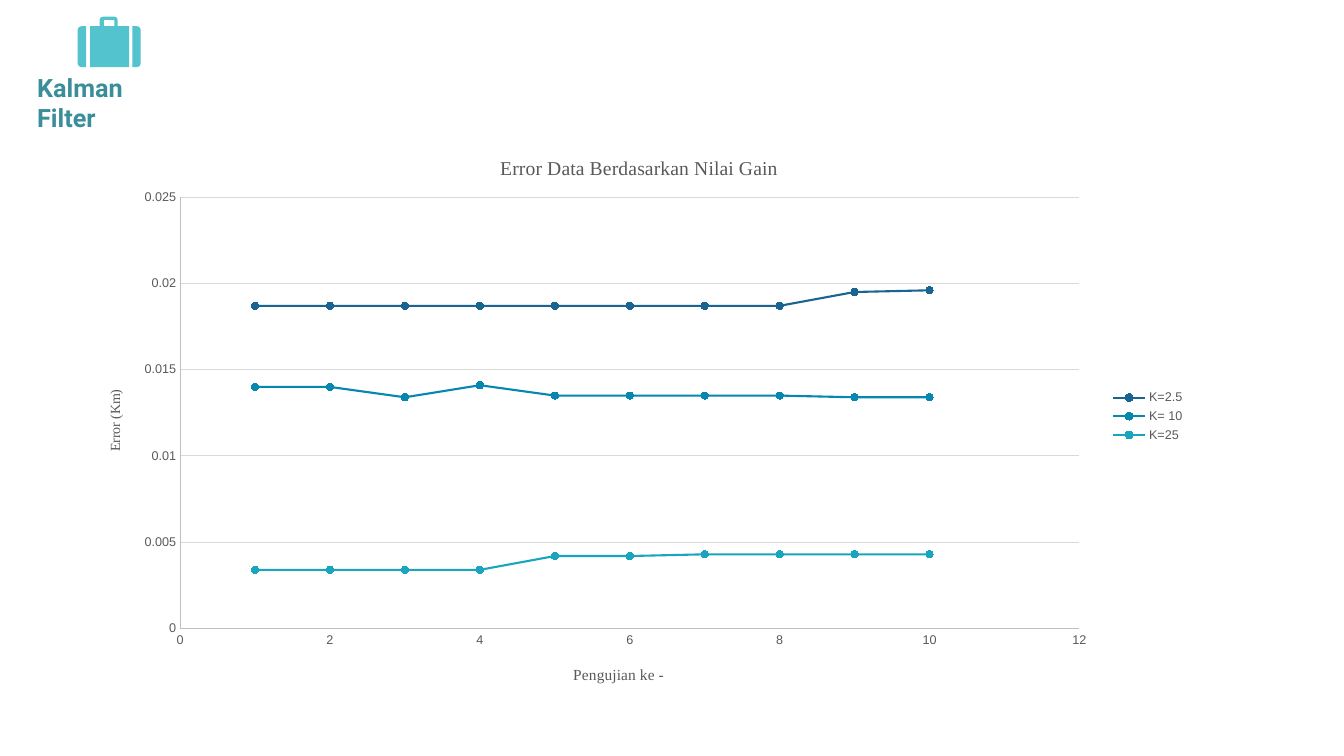
from math import cos, pi, sin

from lxml.etree import SubElement as Sub
from pptx import Presentation
from pptx.chart.data import XyChartData as XyData
from pptx.dml.color import RGBColor as Rgb
from pptx.enum.chart import XL_CHART_TYPE as Kind
from pptx.enum.chart import XL_LEGEND_POSITION as Side
from pptx.enum.chart import XL_MARKER_STYLE as Mark
from pptx.enum.chart import XL_TICK_MARK as Tick
from pptx.enum.text import MSO_AUTO_SIZE as Fit
from pptx.oxml.ns import qn
from pptx.util import Pt

PX = 9525
FINE = 25
HUES = {
    "case": "53C3CD", "head": "3A8E9A", "text": "595959",
    "axis": "BFBFBF", "grid": "D9D9D9",
    "K=2.5": "196491", "K= 10": "0587AF", "K=25": "19A5BE",
}
ROWS = {
    "K=2.5": [0.0187] * 8 + [0.0195, 0.0196],
    "K= 10": [0.014, 0.014, 0.0134, 0.0141] + [0.0135] * 4 + [0.0134] * 2,
    "K=25": [0.0034] * 4 + [0.0042] * 2 + [0.0043] * 4,
}
CASE = [
    [(0, 9, 4), (8, 9, 0), (8, 48, 0), (0, 48, 4)],
    [(52, 9, 0), (60, 9, 4), (60, 48, 4), (52, 48, 0)],
    [(12, 9, 0), (21, 9, 0), (21, 0, 3), (38, 0, 3), (38, 9, 0),
     (49, 9, 0), (49, 48, 0), (12, 48, 0)],
    [(25, 9, 0), (25, 3, 1), (35, 3, 1), (35, 9, 0)],
]


def hue(name):
    return Rgb.from_string(HUES[name])


def style(font, face, size, tint, bold=False):
    font.name, font.size, font.bold = face, Pt(size), bold
    font.color.rgb = hue(tint)


def stroke(line, tint, width):
    line.color.rgb = hue(tint)
    line.width = Pt(width)


def unit(a, b):
    dx, dy = b[0] - a[0], b[1] - a[1]
    size = abs(dx) + abs(dy)
    return dx / size, dy / size


def curve(ring):
    dots = []
    for i, (x, y, r) in enumerate(ring):
        u = unit(ring[i - 1], ring[i])
        v = unit(ring[i], ring[(i + 1) % len(ring)])
        for step in range(7 if r else 1):
            s, c = sin(step * pi / 12), cos(step * pi / 12)
            dots.append((
                round(FINE * (x + r * (v[0] * (1 - c) - u[0] * (1 - s)))),
                round(FINE * (y + r * (v[1] * (1 - c) - u[1] * (1 - s)))),
            ))
    return dots


def add_case(slide, left, top):
    rings = [curve(ring) for ring in CASE]
    form = slide.shapes.build_freeform(*rings[0][0], scale=PX / FINE)
    form.add_line_segments(rings[0][1:])
    for ring in rings[1:]:
        form.move_to(*ring[0])
        form.add_line_segments(ring[1:])
    shape = form.convert_to_shape(left * PX, top * PX)
    shape.shadow.inherit = False
    shape.fill.solid()
    shape.fill.fore_color.rgb = hue("case")
    shape.line.fill.background()


def add_head(slide, left, top, width, height):
    add_case(slide, left + 48, top - 48)
    box = slide.shapes.add_textbox(*(n * PX for n in (left, top, width, height)))
    frame = box.text_frame
    frame.word_wrap = True
    frame.auto_size = Fit.SHAPE_TO_FIT_TEXT
    frame.text = "Kalman Filter"
    style(frame.paragraphs[0].font, "Roboto", 18, "head", True)


def place(node, **spots):
    lay = node.find(qn("c:layout"))
    if lay is None:
        lay = Sub(node, qn("c:layout"))
        node.insert(len(node.findall(qn("c:tx"))), lay)
    man = Sub(lay, qn("c:manualLayout"))
    if "w" in spots:
        Sub(man, qn("c:layoutTarget")).set("val", "inner")
    for key in "xy":
        Sub(man, qn(f"c:{key}Mode")).set("val", "edge")
    for key, part in spots.items():
        Sub(man, qn(f"c:{key}")).set("val", f"{part:.4f}")


def set_title(host, text, size, x, y):
    host.has_title = True
    title = getattr(host, "axis_title", None) or host.chart_title
    title.text_frame.text = text
    style(title.text_frame.paragraphs[0].font, "Times New Roman", size, "text")
    place(title._element, x=x, y=y)


def set_axis(axis, top, step, grid):
    axis.minimum_scale, axis.maximum_scale, axis.major_unit = 0, top, step
    axis.major_tick_mark = axis.minor_tick_mark = Tick.NONE
    axis.has_major_gridlines = grid
    if grid:
        stroke(axis.major_gridlines.format.line, "grid", 0.75)
    stroke(axis.format.line, "axis", 0.75)
    style(axis.tick_labels.font, "Arial", 9, "text")


def add_plot(slide, left, top, width, height):
    data = XyData()
    for name, row in ROWS.items():
        line = data.add_series(name)
        for x, y in enumerate(row, 1):
            line.add_data_point(x, y)
    box = (n * PX for n in (left, top, width, height))
    chart = slide.shapes.add_chart(Kind.XY_SCATTER_SMOOTH, *box, data).chart
    style(chart.font, "Arial", 9, "text")
    across, up = chart.category_axis, chart.value_axis
    set_axis(across, 12, 2, False)
    set_axis(up, 0.025, 0.005, True)
    set_title(chart, "Error Data Berdasarkan Nilai Gain", 14, 0.375, 0.037)
    set_title(across, "Pengujian ke -", 11, 0.441, 0.93)
    set_title(up, "Error (Km)", 10, 0.023, 0.449)
    chart.has_legend = True
    chart.legend.position = Side.RIGHT
    chart.legend.include_in_layout = False
    style(chart.legend.font, "Arial", 9, "text")
    plot = chart.plots[0]
    plot.vary_by_categories = False
    for line in plot.series:
        line.smooth = True
        stroke(line.format.line, line.name, 1.5)
        mark = line.marker
        mark.style, mark.size = Mark.CIRCLE, 5
        mark.format.fill.solid()
        mark.format.fill.fore_color.rgb = hue(line.name)
        stroke(mark.format.line, line.name, 0.75)
    area = chart._chartSpace.find(".//" + qn("c:plotArea"))
    place(area, x=0.0917, y=0.117, w=0.805, h=0.754)


def main():
    deck = Presentation()
    deck.slide_width, deck.slide_height = 1280 * PX, 720 * PX
    slide = deck.slides.add_slide(deck.slide_layouts[6])
    add_head(slide, 26, 64, 156, 38)
    add_plot(slide, 74, 124, 1064, 545)
    deck.save("out.pptx")


if __name__ == "__main__":
    main()
